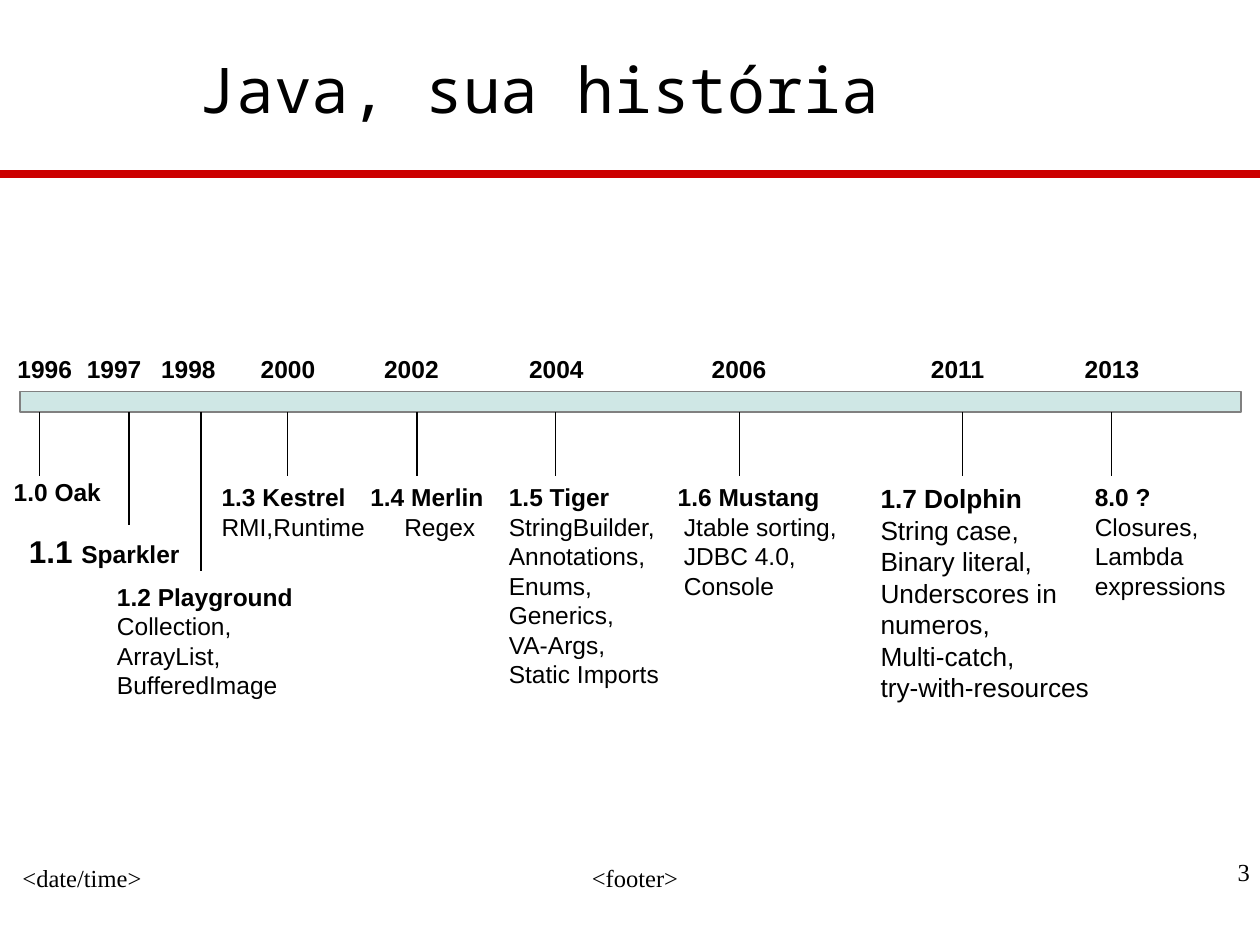
from typing import NamedTuple

from lxml.etree import SubElement
from pptx import Presentation
from pptx.dml.color import RGBColor
from pptx.enum.shapes import MSO_CONNECTOR, MSO_SHAPE
from pptx.enum.text import MSO_ANCHOR, MSO_AUTO_SIZE, PP_ALIGN
from pptx.oxml.ns import qn
from pptx.util import Inches, Pt

COLORS = {"ink": "000000", "rule": "CC0000", "bar": "CFE7E5", "border": "808080"}
COLUMNS, ROWS = 100, 75
BAR_TOP, BAR_BOTTOM = 31.1, 32.7


class Span(NamedTuple):
    text: str
    size: float = 14
    bold: bool = False


class Release(NamedTuple):
    """Year label, tick and note of one version; places are grid columns and rows."""
    year: str
    year_column: float
    tick_column: float
    note: tuple  # left, top, width, height
    heading: tuple
    features: tuple = ()
    size: float = 14
    indent: float = 0
    tick_end: float = 37.8


def heading(text, size=14):
    return (Span(text, size, True),)


RELEASES = [
    Release("1996", 0.4, 3.15, (0.1, 37.4, 9.8, 4.7), heading("1.0 Oak")),
    Release("1997", 5.9, 10.25, (1.3, 41.7, 14.9, 5.1),
            heading("1.1 ", 18) + heading("Sparkler"), tick_end=41.7),
    Release("1998", 11.8, 15.95, (8.3, 45.7, 20.4, 16.1), heading("1.2 Playground"),
            ("Collection,", "ArrayList,", "BufferedImage"), tick_end=45.3),
    Release("2000", 19.7, 22.8, (16.6, 37.8, 14.9, 7), heading("1.3 Kestrel"),
            ("RMI,Runtime",)),
    Release("2002", 29.5, 33.1, (28.4, 37.8, 14.9, 7), heading("1.4 Merlin"),
            ("Regex",), indent=2.7),
    Release("2004", 41, 44.1, (39.4, 37.8, 14.9, 22), heading("1.5 Tiger"),
            ("StringBuilder,", "Annotations,", "Enums,", "Generics,", "VA-Args,",
             "Static Imports")),
    Release("2006", 55.5, 58.7, (52.8, 37.8, 16.1, 13), heading("1.6 Mustang"),
            ("Jtable sorting,", "JDBC 4.0,", "Console"), indent=0.5),
    Release("2011", 72.9, 76.4, (68.9, 37.8, 19.3, 22), heading("1.7 Dolphin", 15),
            ("String case,", "Binary literal,", "Underscores in numeros,",
             "Multi-catch,", "try-with-resources"), size=15),
    Release("2013", 85.1, 88.2, (85.9, 37.8, 14.1, 13), heading("8.0 ?"),
            ("Closures,", "Lambda expressions")),
]


class SlideBuilder:
    def __init__(self, deck):
        self.unit_x = deck.slide_width / COLUMNS
        self.unit_y = deck.slide_height / ROWS
        self.slide = deck.slides.add_slide(deck.slide_layouts[5])
        self.shapes = self.slide.shapes

    def place(self, left, top, width, height):
        """Turn grid columns and rows into slide lengths."""
        return (round(left * self.unit_x), round(top * self.unit_y),
                round(width * self.unit_x), round(height * self.unit_y))

    def color(self, name):
        return RGBColor.from_string(COLORS[name])

    def style(self, span, font_name, size, bold=False):
        span.font.name = font_name
        span.font.size = Pt(size)
        span.font.bold = bold
        span.font.color.rgb = self.color("ink")

    def title(self, text, area):
        title = self.shapes.title
        title.left, title.top, title.width, title.height = self.place(*area)
        frame = title.text_frame
        frame.text = text
        frame.auto_size = MSO_AUTO_SIZE.NONE
        frame.vertical_anchor = MSO_ANCHOR.MIDDLE
        frame.margin_left = frame.margin_right = 0
        frame.margin_top = frame.margin_bottom = 0
        para = frame.paragraphs[0]
        para.alignment = PP_ALIGN.CENTER
        para.line_spacing = 0.96
        self.style(para.runs[0], "Noto Sans Mono", 36)

    def text(self, area, lines, font_name="Arial", align=PP_ALIGN.LEFT, wrap=True,
             margins=(0.1, 0.05), spacing=1, indent=0):
        """Add a text box; each line is a tuple of spans, and indent skips the first."""
        frame = self.shapes.add_textbox(*self.place(*area)).text_frame
        frame.word_wrap = wrap
        frame.margin_left = frame.margin_right = Inches(margins[0])
        frame.margin_top = frame.margin_bottom = Inches(margins[1])
        for number, spans in enumerate(lines):
            para = frame.add_paragraph() if number else frame.paragraphs[0]
            para.alignment = align
            para.line_spacing = float(spacing)
            if number and indent:
                para._p.get_or_add_pPr().set("marL", str(round(indent * self.unit_x)))
            for span in spans:
                run = para.add_run()
                run.text = span.text
                self.style(run, font_name, span.size, span.bold)

    def line(self, start, end, color="ink", width=0.75):
        left, top, right, bottom = self.place(*start, *end)
        line = self.shapes.add_connector(MSO_CONNECTOR.STRAIGHT, left, top, right, bottom)
        line.line.color.rgb = self.color(color)
        line.line.width = Pt(width)
        SubElement(line._element.spPr, qn("a:effectLst"))

    def bar(self, area):
        bar = self.shapes.add_shape(MSO_SHAPE.RECTANGLE, *self.place(*area))
        bar.shadow.inherit = False
        bar.fill.solid()
        bar.fill.fore_color.rgb = self.color("bar")
        bar.line.color.rgb = self.color("border")
        bar.line.width = Pt(0.75)

    def footer(self, area, text, align, margins=(0.1, 0.05)):
        self.text(area, [(Span(text),)], "Times New Roman", align,
                  margins=margins, spacing=0.93)

    def release(self, release):
        self.text((release.year_column, 27.6, 6.5, 4), [heading(release.year)], wrap=False)
        features = [(Span(feature, release.size),) for feature in release.features]
        self.text(release.note, [release.heading, *features], indent=release.indent)
        self.line((release.tick_column, BAR_BOTTOM),
                  (release.tick_column, release.tick_end))


def main():
    deck = Presentation()
    deck.slide_width, deck.slide_height = Inches(10), Inches(7.5)
    page = SlideBuilder(deck)
    page.line((0, 13.8), (COLUMNS, 13.8), "rule", 4.5)
    page.footer((91, 68.2, 8.2, 5.6), "3", PP_ALIGN.RIGHT, margins=(0, 0))
    page.footer((11.8, 68.2, 77.2, 6.2), "<footer>", PP_ALIGN.CENTER)
    page.footer((0.8, 68.2, 11.5, 6.8), "<date/time>", PP_ALIGN.LEFT)
    page.title("Java, sua história", (2.5, 2, 80.5, 10.6))
    page.bar((1.6, BAR_TOP, 96.9, BAR_BOTTOM - BAR_TOP))
    for release in RELEASES:
        page.release(release)
    deck.save("out.pptx")


if __name__ == "__main__":
    main()
